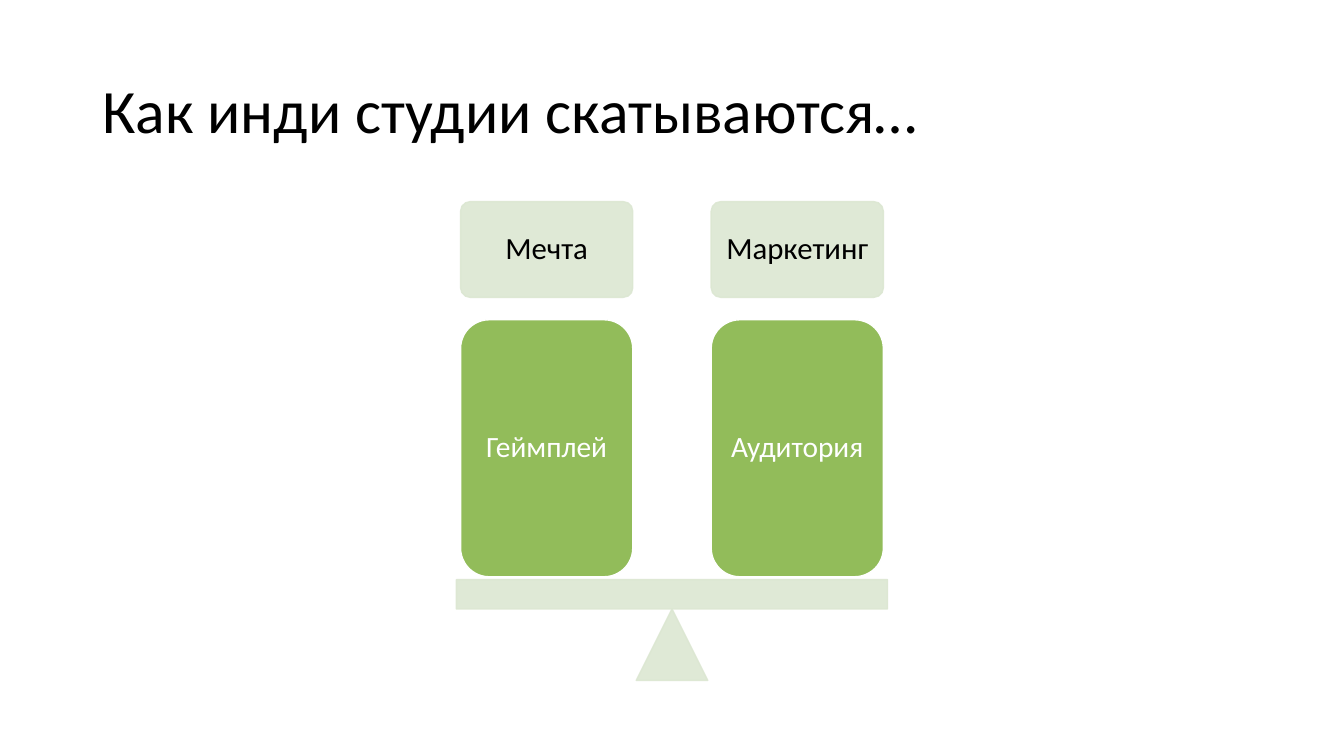
import pptx
import pptx.util
import pptx.dml.color
import pptx.enum.shapes
import pptx.enum.text
import lxml.etree

Pt = pptx.util.Pt
SHAPE = pptx.enum.shapes.MSO_SHAPE
ALIGN = pptx.enum.text.PP_ALIGN
MIDDLE = pptx.enum.text.MSO_ANCHOR.MIDDLE
FONT = "Calibri"
COLORS = {"pale": "DCE7D2", "green": "92BC5A", "white": "FFFFFF", "black": "000000"}
SIDES = [("Мечта", "Геймплей"), ("Маркетинг", "Аудитория")]


def rgb(name):
    return pptx.dml.color.RGBColor.from_string(COLORS[name])


def fade(shape, share):
    """Make the fill and line of a shape opaque to the given percentage."""
    for color in shape._element.spPr.iter(pptx.oxml.ns.qn("a:srgbClr")):
        alpha = lxml.etree.SubElement(color, pptx.oxml.ns.qn("a:alpha"))
        alpha.set("val", str(share * 1000))


def write(shape, text, size, color, align):
    frame = shape.text_frame
    frame.word_wrap = True
    frame.vertical_anchor = MIDDLE
    para = frame.paragraphs[0]
    para.alignment = align
    para.line_spacing = 0.9
    run = para.add_run()
    run.text = text
    run.font.name = FONT
    run.font.size = Pt(size)
    run.font.color.rgb = rgb(color)


def block(slide, kind, box, fill, line):
    shape = slide.shapes.add_shape(kind, *map(Pt, box))
    shape.shadow.inherit = False
    shape.fill.solid()
    shape.fill.fore_color.rgb = rgb(fill)
    shape.line.color.rgb = rgb(line)
    shape.line.width = Pt(1)
    if fill == "pale":
        fade(shape, 90)
    return shape


def label(slide, box, text, size, fill, line, color, curve):
    """Draw a rounded block with centred text."""
    shape = block(slide, SHAPE.ROUNDED_RECTANGLE, box, fill, line)
    shape.adjustments[0] = curve
    frame = shape.text_frame
    frame.margin_left = frame.margin_right = Pt(6.5)
    write(shape, text, size, color, ALIGN.CENTER)


def head(slide, box, text):
    title = slide.shapes.title
    title.left, title.top, title.width, title.height = map(Pt, box)
    write(title, text, 44, "black", ALIGN.LEFT)


def scale(slide, box):
    """Draw the balance: two loaded columns on a beam and its pivot."""
    left, top, width, height = box
    pivot, beam, inset = 51, 21, 3
    wide, cap, tall = 123, 68.4, 183.6
    mid = left + width / 2
    foot = top + height - pivot
    block(slide, SHAPE.ISOSCELES_TRIANGLE,
          (mid - pivot / 2, foot, pivot, pivot), "pale", "pale")
    block(slide, SHAPE.RECTANGLE,
          (left, foot - beam, width, beam), "pale", "pale")
    step = width - 2 * inset - wide
    for i, (name, load) in enumerate(SIDES):
        x = left + inset + i * step
        label(slide, (x, top, wide, cap), name, 22,
              "pale", "pale", "black", 0.1)
        label(slide, (x, foot - beam - tall - 2, wide, tall), load, 21,
              "green", "white", "white", 0.1667)


def main():
    deck = pptx.Presentation()
    deck.slide_width, deck.slide_height = Pt(960), Pt(540)
    slide = deck.slides.add_slide(deck.slide_layouts[5])
    head(slide, (66, 28.8, 828, 104.4), "Как инди студии скатываются…")
    scale(slide, (326, 144, 308, 342))
    deck.save("out.pptx")


if __name__ == "__main__":
    main()
